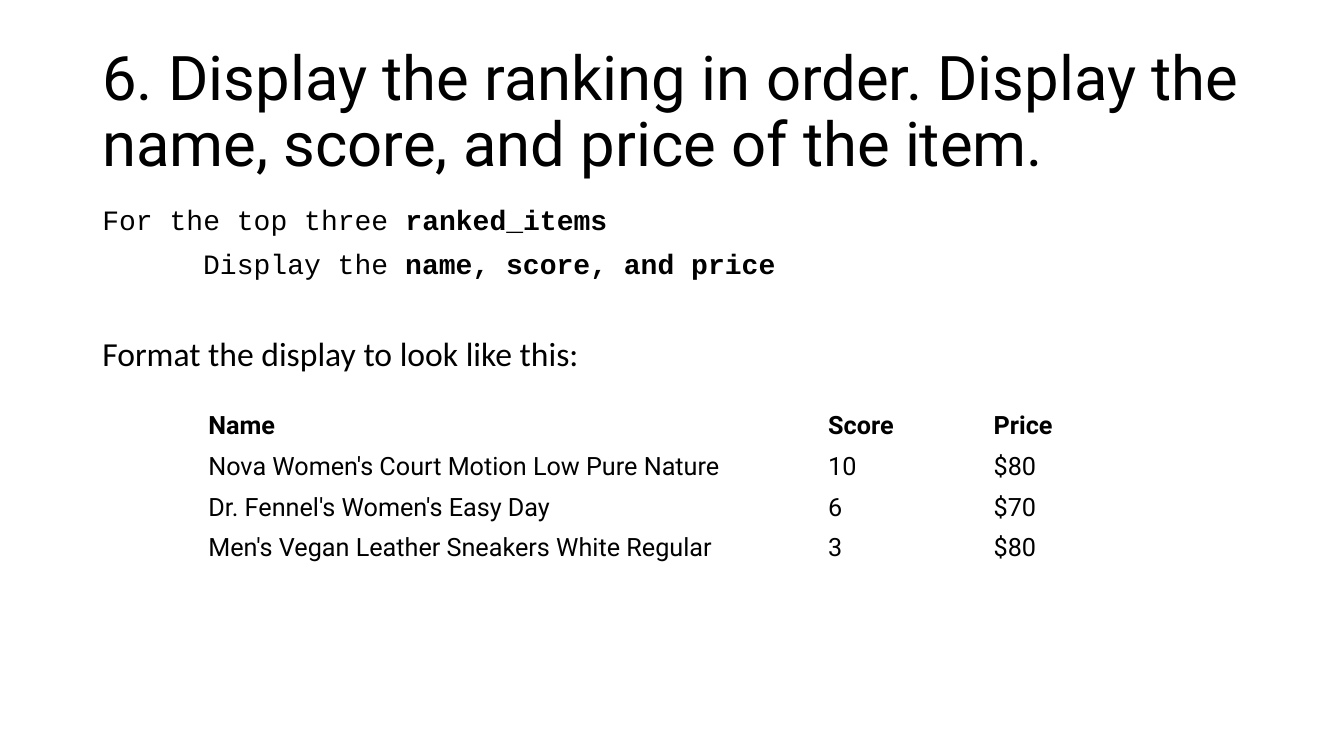
from pptx import Presentation, util as u
from pptx.dml.color import RGBColor
from pptx.enum import text


def tint(code):
    return RGBColor.from_string(code)


class Deck:
    cols, rows = 160, 150
    ink = "000000"
    head = {"name": "Roboto", "size": u.Pt(44)}
    code = {"name": "Courier New", "size": u.Pt(20)}
    body = {"name": "Calibri", "size": u.Pt(24)}
    cell = {"name": "Roboto", "size": u.Pt(18)}

    def __init__(self):
        self.show = Presentation()
        self.show.slide_width = u.Inches(13.33)
        self.show.slide_height = u.Inches(7.5)
        self.page = self.show.slides.add_slide(self.show.slide_layouts[6])

    def x(self, n):
        return int(self.show.slide_width * n / self.cols)

    def y(self, n):
        return int(self.show.slide_height * n / self.rows)

    def area(self, left, top, wide, high):
        return self.x(left), self.y(top), self.x(wide), self.y(high)

    def label(self, para, words, form, bold=False):
        run = para.add_run()
        run.text = words
        for key, value in {**form, "bold": bold}.items():
            setattr(run.font, key, value)
        run.font.color.rgb = tint(self.ink)

    def block(self, area, lines, anchor=text.MSO_ANCHOR.TOP):
        frame = self.page.shapes.add_textbox(*self.area(*area)).text_frame
        frame.word_wrap = True
        frame.vertical_anchor = anchor
        for i, (form, gap, inset, parts) in enumerate(lines):
            para = frame.paragraphs[0] if i == 0 else frame.add_paragraph()
            para.line_spacing = 0.9
            para.space_before = u.Pt(gap)
            if inset:
                para._p.get_or_add_pPr().set("marL", str(u.Inches(inset)))
            for words, bold in parts:
                self.label(para, words, form, bold)

    def table(self, left, top, widths, high, data):
        area = self.area(left, top, sum(widths), high * len(data))
        grid = self.page.shapes.add_table(len(data), len(widths), *area).table
        grid.first_row = grid.horz_banding = False
        for col, wide in zip(grid.columns, widths):
            col.width = self.x(wide)
        for r, line in enumerate(data):
            for c, words in enumerate(line):
                cell = grid.cell(r, c)
                cell.fill.background()
                self.label(cell.text_frame.paragraphs[0], words, self.cell, r == 0)


def main():
    deck = Deck()
    title = "6. Display the ranking in order. Display the name, score, and price of the item."
    deck.block((11, 8, 138, 29), [(deck.head, 0, 0, [(title, False)])],
               text.MSO_ANCHOR.MIDDLE)
    deck.block((11, 40, 138, 70), [
        (deck.code, 0, 0, [("For the top three ", False), ("ranked_items", True)]),
        (deck.code, 10, 1, [("Display the ", False), ("name, score, and price", True)]),
        (deck.body, 40, 0, [("Format the display to look like this:", False)]),
    ])
    deck.table(23.6, 80.6, (73.8, 19.7, 17.5), 8.1, [
        ("Name", "Score", "Price"),
        ("Nova Women's Court Motion Low Pure Nature", "10", "$80"),
        ("Dr. Fennel's Women's Easy Day", "6", "$70"),
        ("Men's Vegan Leather Sneakers White Regular", "3", "$80"),
    ])
    deck.show.save("out.pptx")


if __name__ == "__main__":
    main()
